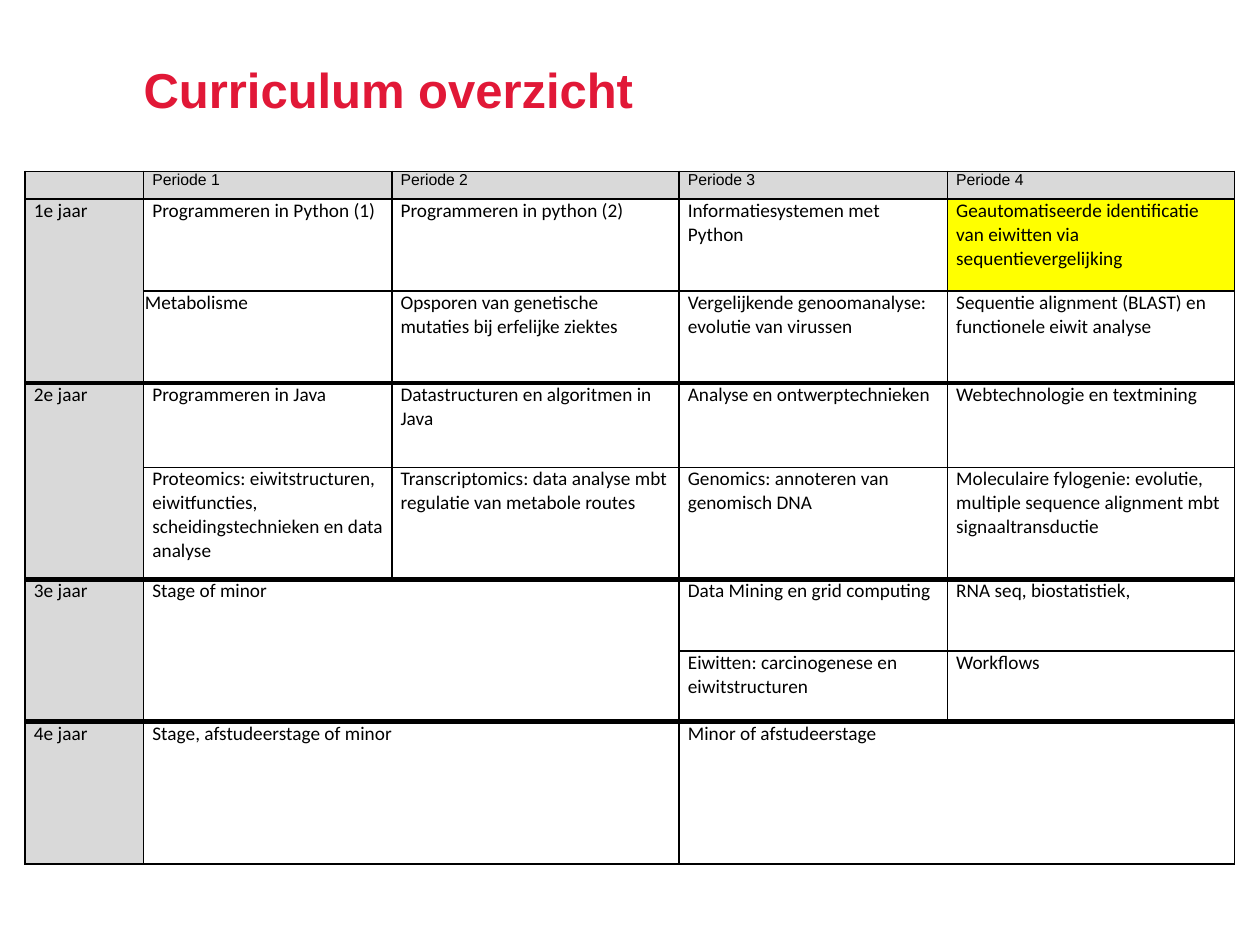
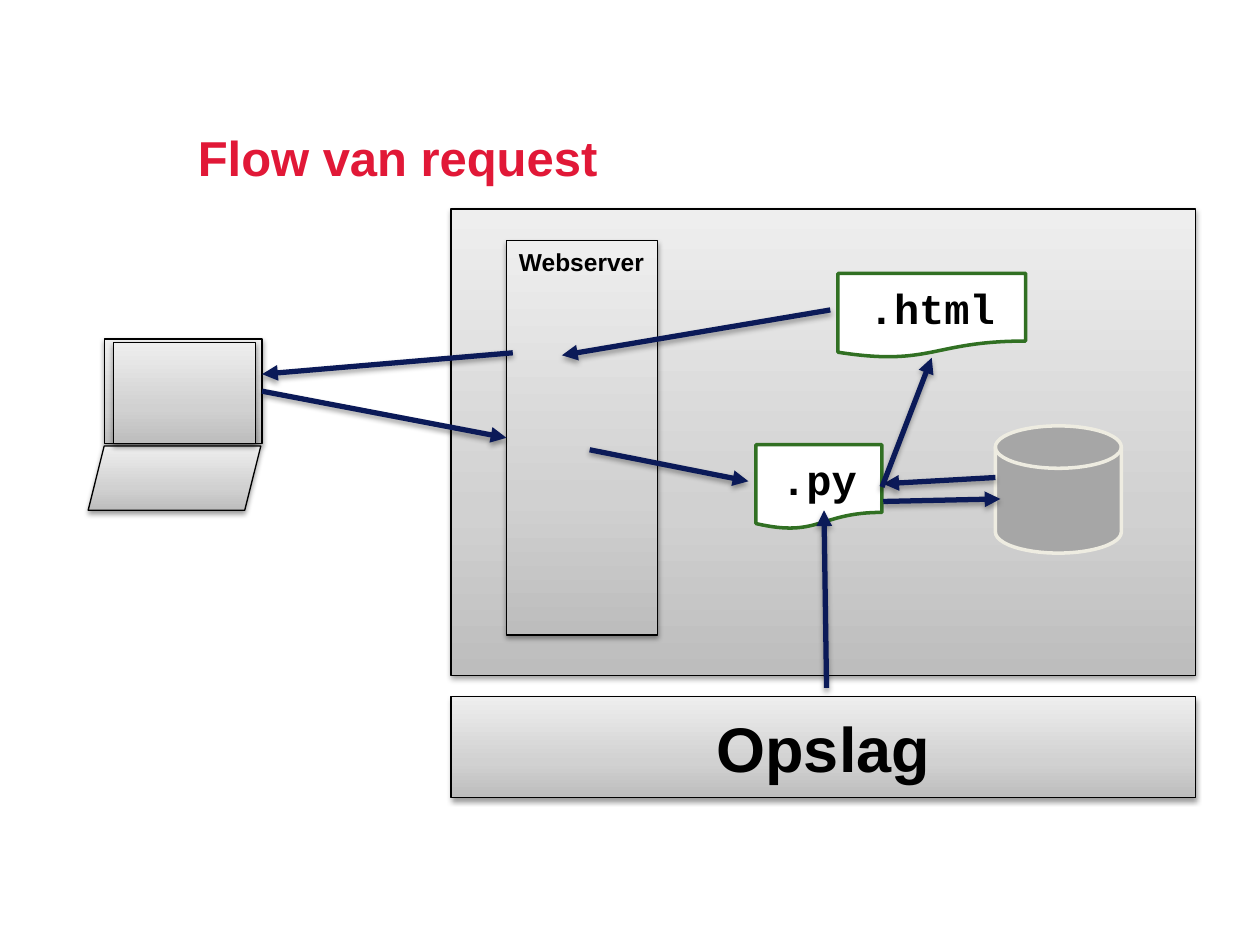
"""Build two slides: a curriculum table and the flow of a web request."""
from pptx import Presentation
from pptx.dml.color import RGBColor
from pptx.enum.shapes import MSO_CONNECTOR as Connector, MSO_SHAPE as Shape
from pptx.enum.text import MSO_ANCHOR as Anchor, MSO_AUTO_SIZE as AutoSize, PP_ALIGN as Align
from pptx.oxml import parse_xml
from pptx.oxml.ns import nsdecls
from pptx.util import Inches, Pt

RED, BLACK, WHITE, GREY, YELLOW = "E11837", "000000", "FFFFFF", "D9D9D9", "FFFF00"
GREEN, NAVY, DISK_GREY, CREAM = "317023", "0B1A58", "A6A6A6", "EEECE1"
NAMESPACE = nsdecls("a")
GRADIENT = f"""<a:gradFill {NAMESPACE} rotWithShape="1"><a:gsLst>
<a:gs pos="0"><a:srgbClr val="BDBDBD"/></a:gs>
<a:gs pos="35000"><a:srgbClr val="D1D1D1"/></a:gs>
<a:gs pos="100000"><a:srgbClr val="EEEEEE"/></a:gs>
</a:gsLst><a:lin ang="16200000" scaled="0"/></a:gradFill>"""
SHADOW = f"""<a:effectLst {NAMESPACE}><a:outerShdw blurRad="39400" dist="%d" dir="5400000"
rotWithShape="0"><a:srgbClr val="000000"><a:alpha val="%d"/></a:srgbClr></a:outerShdw></a:effectLst>"""


def paint(fill, color):
    """Make a fill solid in the given hex colour."""
    fill.solid()
    fill.fore_color.rgb = RGBColor.from_string(color)


def write(frame, text, size=11, font="Calibri", color=BLACK, bold=False, align=Align.LEFT):
    """Put one formatted run of text in a text frame."""
    paragraph = frame.paragraphs[0]
    paragraph.alignment = align
    run = paragraph.add_run()
    run.text = text
    run.font.size, run.font.name, run.font.bold = Pt(size), font, bold
    paint(run.font.fill, color)


presentation = Presentation()
presentation.slide_width, presentation.slide_height = Inches(10), Inches(7.5)
slides = []
for title_text, left, top in [("Curriculum overzicht", 1.14, 0.44), ("Flow van request", 1.57, 0.98)]:
    slide = presentation.slides.add_slide(presentation.slide_layouts[5])
    title = slide.shapes.title
    title.left, title.top, title.width, title.height = map(Inches, (left, top, 7.83, 0.55))
    frame = title.text_frame
    frame.auto_size, frame.vertical_anchor = AutoSize.NONE, Anchor.BOTTOM
    frame.margin_left = 0
    write(frame, title_text, size=28, font="Arial", color=RED, bold=True)
    slides.append(slide)
curriculum, flow = slides

rows = [
    ["", "Periode 1", "Periode 2", "Periode 3", "Periode 4"],
    ["1e jaar", "Programmeren in Python (1)", "Programmeren in python (2)",
     "Informatiesystemen met Python",
     "Geautomatiseerde identificatie van eiwitten via sequentievergelijking"],
    ["", "Metabolisme", "Opsporen van genetische mutaties bij erfelijke ziektes",
     "Vergelijkende genoomanalyse: evolutie van virussen",
     "Sequentie alignment (BLAST) en functionele eiwit analyse"],
    ["2e jaar", "Programmeren in Java", "Datastructuren en algoritmen in Java",
     "Analyse en ontwerptechnieken", "Webtechnologie en textmining"],
    ["", "Proteomics: eiwitstructuren, eiwitfuncties, scheidingstechnieken en data analyse",
     "Transcriptomics: data analyse mbt regulatie van metabole routes",
     "Genomics: annoteren van genomisch DNA",
     "Moleculaire fylogenie: evolutie, multiple sequence alignment mbt signaaltransductie"],
    ["3e jaar", "Stage of minor", "", "Data Mining en grid computing", "RNA seq, biostatistiek,"],
    ["", "", "", "Eiwitten: carcinogenese en eiwitstructuren", "Workflows"],
    ["4e jaar", "Stage, afstudeerstage of minor", "", "Minor of afstudeerstage", ""],
]
column_widths = [0.94, 1.97, 2.28, 2.13, 2.28]
row_heights = [0.22, 0.73, 0.73, 0.67, 0.89, 0.57, 0.56, 1.13]
year_starts = (3, 5, 7)
table_frame = curriculum.shapes.add_table(
    len(rows), len(column_widths), Inches(0.2), Inches(1.36),
    Inches(sum(column_widths)), Inches(sum(row_heights)))
table = table_frame.table
table.horz_banding = table.first_row = False
for column, width in zip(table.columns, column_widths):
    column.width = Inches(width)
for row, height in zip(table.rows, row_heights):
    row.height = Inches(height)
for first, last in [((1, 0), (2, 0)), ((3, 0), (4, 0)), ((5, 0), (6, 0)),
                    ((5, 1), (6, 2)), ((7, 1), (7, 2)), ((7, 3), (7, 4))]:
    table.cell(*first).merge(table.cell(*last))

for r, texts in enumerate(rows):
    for c, text in enumerate(texts):
        cell = table.cell(r, c)
        if cell.is_spanned:
            continue
        cell.margin_left = cell.margin_right = Inches(0.01 if text == "Metabolisme" else 0.07)
        cell.margin_top = cell.margin_bottom = 0
        if text:
            write(cell.text_frame, text, size=11 if r else 9, font="Calibri" if r else "Arial")
        else:
            cell.text_frame.paragraphs[0]._p.get_or_add_endParaRPr().set("sz", "900")
        paint(cell.fill, GREY if r == 0 or c == 0 else YELLOW if (r, c) == (1, 4) else WHITE)
        next_row = r + (cell.span_height if cell.is_merge_origin else 1)
        borders = {"L": 1, "R": 1, "T": 3 if r in year_starts else 1,
                   "B": 3 if next_row in year_starts else 1}
        properties = cell._tc.get_or_add_tcPr()
        for position, (side, points) in enumerate(borders.items()):
            properties.insert(position, parse_xml(
                f'<a:ln{side} {NAMESPACE} w="{Pt(points)}"><a:solidFill>'
                f'<a:srgbClr val="{BLACK}"/></a:solidFill></a:ln{side}>'))

parts = [
    ("laptop", Shape.RECTANGLE, 0.83, 2.69, 1.25, 0.83),
    ("keyboard", Shape.PARALLELOGRAM, 0.7, 3.54, 1.37, 0.51),
    ("server", Shape.RECTANGLE, 3.58, 1.66, 5.91, 3.7),
    ("webserver", Shape.RECTANGLE, 4.02, 1.91, 1.2, 3.13),
    ("python", Shape.FLOWCHART_DOCUMENT, 6, 3.53, 1, 0.67),
    ("html", Shape.FLOWCHART_DOCUMENT, 6.65, 2.17, 1.49, 0.67),
    ("screen", Shape.RECTANGLE, 0.9, 2.72, 1.13, 0.8),
    ("database", Shape.FLOWCHART_MAGNETIC_DISK, 7.9, 3.38, 1, 1.01),
    ("repository", Shape.RECTANGLE, 3.58, 5.53, 5.91, 0.8),
]
solid_styles = {"python": (WHITE, GREEN), "html": (WHITE, GREEN), "database": (DISK_GREY, CREAM)}
shapes = {}
for name, kind, *place in parts:
    shape = shapes[name] = flow.shapes.add_shape(kind, *map(Inches, place))
    shape.shadow.inherit = False
    fill_color, line_color = solid_styles.get(name, (WHITE, BLACK))
    paint(shape.fill, fill_color)
    paint(shape.line.fill, line_color)
    shape.line.width = Pt(2 if name in solid_styles else 0.75)
    if name not in solid_styles:
        properties = shape._element.spPr
        for tag, replacement in [("solidFill", GRADIENT), ("effectLst", SHADOW % (20000, 38000))]:
            old = properties.find(f"{{*}}{tag}")
            properties.replace(old, parse_xml(replacement))

labels = [
    ("webserver", "Webserver", 14, "Arial", Align.LEFT, Anchor.TOP),
    ("python", ".py", 24, "Courier New", Align.CENTER, Anchor.MIDDLE),
    ("html", ".html", 24, "Courier New", Align.CENTER, Anchor.MIDDLE),
    ("repository", "Opslag", 36, "Arial", Align.CENTER, Anchor.MIDDLE),
]
for name, text, size, font, align, anchor in labels:
    frame = shapes[name].text_frame
    frame.vertical_anchor = anchor
    write(frame, text, size=size, font=font, bold=True, align=align)

arrows = [
    ((2.08, 3.11), (4.02, 3.47), ("laptop", 3), ("webserver", 1)),
    ((4.68, 3.57), (5.94, 3.82), None, None),
    ((7.9, 3.79), (7.01, 3.84), None, None),
    ((7, 3.86), (7.4, 2.8), ("python", 3), ("html", 2)),
    ((6.59, 2.46), (4.46, 2.82), None, None),
    ((4.07, 2.8), (2.08, 2.97), None, None),
    ((7.01, 3.98), (7.94, 3.96), None, None),
    ((6.56, 5.46), (6.54, 4.05), None, None),
]
for start, end, source, target in arrows:
    arrow = flow.shapes.add_connector(Connector.STRAIGHT, *map(Inches, start + end))
    if source:
        arrow.begin_connect(shapes[source[0]], source[1])
    if target:
        arrow.end_connect(shapes[target[0]], target[1])
    paint(arrow.line.fill, NAVY)
    arrow.line.width = Pt(3)
    arrow.line._get_or_add_ln().append(parse_xml(f'<a:tailEnd {NAMESPACE} type="triangle"/>'))
    arrow._element.spPr.append(parse_xml(SHADOW % (23000, 35000)))

presentation.save("out.pptx")
